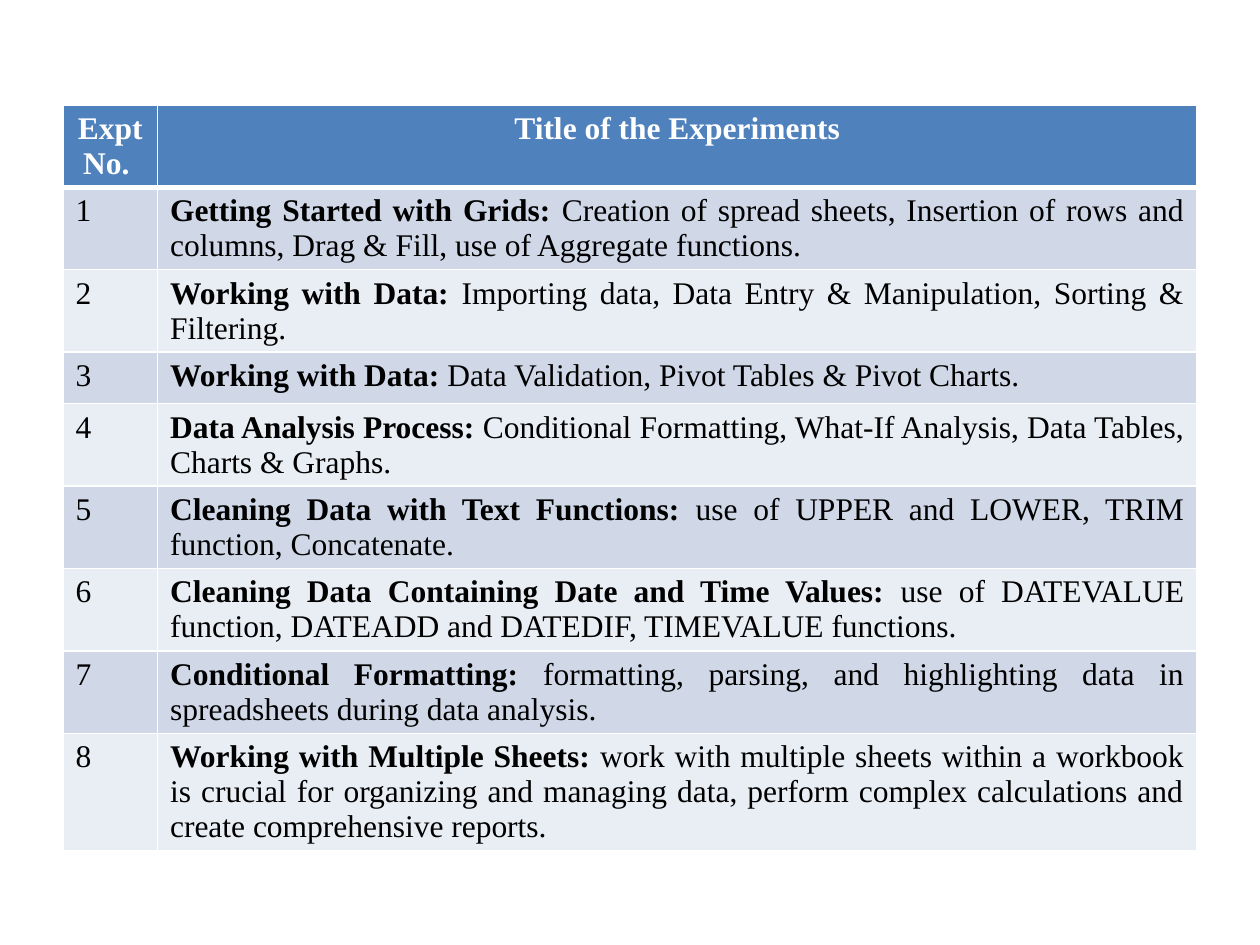
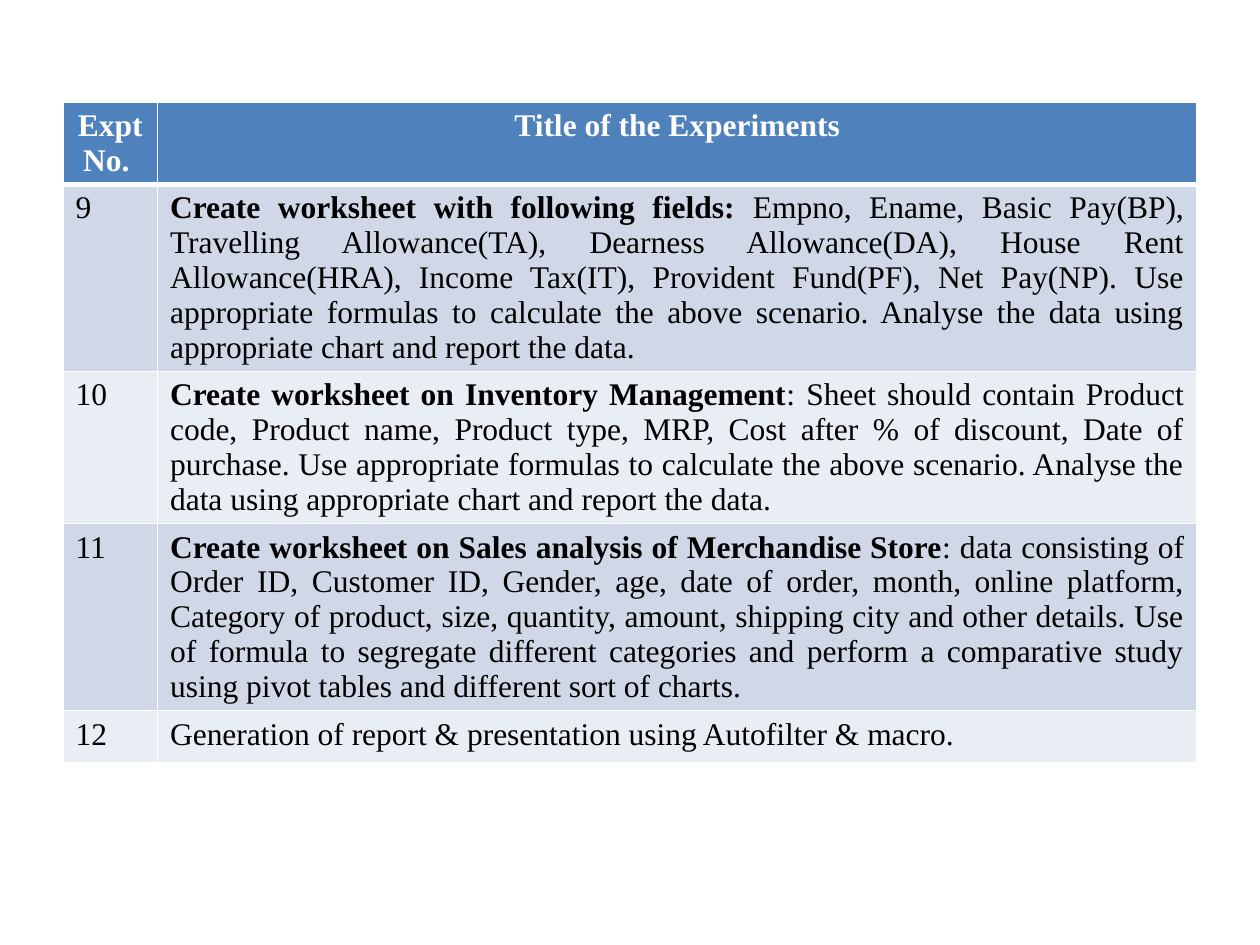
from dataclasses import dataclass

from lxml.etree import SubElement
from pptx import Presentation
from pptx.dml.color import RGBColor
from pptx.enum.text import PP_ALIGN
from pptx.oxml.ns import qn
from pptx.util import Inches, Pt

WIDE, HIGH = Inches(10), Inches(7.5)
FONT, SIZE = "Times New Roman", 18
INK = {
    "head": "4F81BD",
    "odd": "D0D8E8",
    "even": "E9EDF4",
    "rule": "FFFFFF",
    "light": "FFFFFF",
    "dark": "000000",
}
HEADS = ("Expt No. ", "Title of the Experiments")
LEFT = 0.05                # shares of the slide's width
COLS = (0.075, 0.825)
ROW = Inches(0.41)         # least height, rows grow with their text
THIN, THICK = 1, 3         # rule widths in points


@dataclass(frozen=True)
class Task:
    name: str
    text: str


@dataclass(frozen=True)
class Page:
    first: int
    top: float             # shares of the slide's height
    tall: float
    tasks: tuple[Task, ...]


PAGES = (
    Page(1, 0.111, 0.841, (
        Task("Getting Started with Grids: ",
             "Creation of spread sheets, Insertion of rows and columns, "
             "Drag & Fill, use of Aggregate functions. "),
        Task("Working with Data: ",
             "Importing data, Data Entry & Manipulation, Sorting & Filtering. "),
        Task("Working with Data: ",
             "Data Validation, Pivot Tables & Pivot Charts. "),
        Task("Data Analysis Process: ",
             "Conditional Formatting, What-If Analysis, Data Tables, "
             "Charts & Graphs. "),
        Task("Cleaning Data with Text Functions:",
             " use of UPPER and LOWER, TRIM function, Concatenate."),
        Task("Cleaning Data Containing Date and Time Values: ",
             "use of DATEVALUE function, DATEADD and DATEDIF, "
             "TIMEVALUE functions. "),
        Task("Conditional Formatting: ",
             "formatting, parsing, and highlighting data in spreadsheets "
             "during data analysis. "),
        Task("Working with Multiple Sheets: ",
             "work with multiple sheets within a workbook is crucial for "
             "organizing and managing data, perform complex calculations "
             "and create comprehensive reports."),
    )),
    Page(9, 0.108, 0.748, (
        Task("Create worksheet with following fields: ",
             "Empno, Ename, Basic Pay(BP), Travelling Allowance(TA), "
             "Dearness Allowance(DA), House Rent Allowance(HRA), "
             "Income Tax(IT), Provident Fund(PF), Net Pay(NP). Use "
             "appropriate formulas to calculate the above scenario. Analyse "
             "the data using appropriate chart and report the data. "),
        Task("Create worksheet on Inventory Management",
             ": Sheet should contain Product code, Product name, Product "
             "type, MRP, Cost after % of discount, Date of purchase. Use "
             "appropriate formulas to calculate the above scenario. Analyse "
             "the data using appropriate chart and report the data. "),
        Task("Create worksheet on Sales analysis of Merchandise Store",
             ": data consisting of Order ID, Customer ID, Gender, age, date "
             "of order, month, online platform, Category of product, size, "
             "quantity, amount, shipping city and other details. Use of "
             "formula to segregate different categories and perform a "
             "comparative study using pivot tables and different sort of "
             "charts. "),
        Task("", "Generation of report & presentation using Autofilter & macro. "),
    )),
)


def write(para, text: str, *, bold: bool = False, ink: str = "dark",
          align: PP_ALIGN = PP_ALIGN.LEFT) -> None:
    """Append one run to the paragraph; empty text adds nothing."""
    if not text:
        return
    para.alignment = align
    run = para.add_run()
    run.text = text
    font = run.font
    font.name, font.size, font.bold = FONT, Pt(SIZE), bold
    font.color.rgb = RGBColor.from_string(INK[ink])


def paint(cell, fill: str, top: int = THIN, base: int = THIN) -> None:
    """Rule the four sides, then fill; the schema wants lines first."""
    props = cell._tc.get_or_add_tcPr()
    for side, width in zip("LRTB", (THIN, THIN, top, base)):
        line = SubElement(props, qn(f"a:ln{side}"), w=str(Pt(width)))
        solid = SubElement(line, qn("a:solidFill"))
        SubElement(solid, qn("a:srgbClr"), val=INK["rule"])
    cell.fill.solid()
    cell.fill.fore_color.rgb = RGBColor.from_string(INK[fill])


def draw(deck, page: Page) -> None:
    slide = deck.slides.add_slide(deck.slide_layouts[6])
    tall = int(HIGH * page.tall)
    frame = slide.shapes.add_table(
        len(page.tasks) + 1, len(COLS), int(WIDE * LEFT),
        int(HIGH * page.top), int(WIDE * sum(COLS)), tall)
    table = frame.table
    for col, share in zip(table.columns, COLS):
        col.width = int(WIDE * share)
    for row in table.rows:
        row.height = ROW
    frame.height = tall

    for col, head in enumerate(HEADS):
        cell = table.cell(0, col)
        paint(cell, "head", base=THICK)
        write(cell.text_frame.paragraphs[0], head, bold=True, ink="light",
              align=PP_ALIGN.CENTER)

    for row, task in enumerate(page.tasks, 1):
        cells = [table.cell(row, col) for col in range(len(COLS))]
        for cell in cells:
            paint(cell, "odd" if row % 2 else "even",
                  top=THICK if row == 1 else THIN)
        mark, body = (cell.text_frame.paragraphs[0] for cell in cells)
        write(mark, str(page.first + row - 1))
        write(body, task.name, bold=True, align=PP_ALIGN.JUSTIFY)
        write(body, task.text, align=PP_ALIGN.JUSTIFY)


def main() -> None:
    deck = Presentation()
    deck.slide_width, deck.slide_height = WIDE, HIGH
    for page in PAGES:
        draw(deck, page)
    deck.save("out.pptx")


if __name__ == "__main__":
    main()
